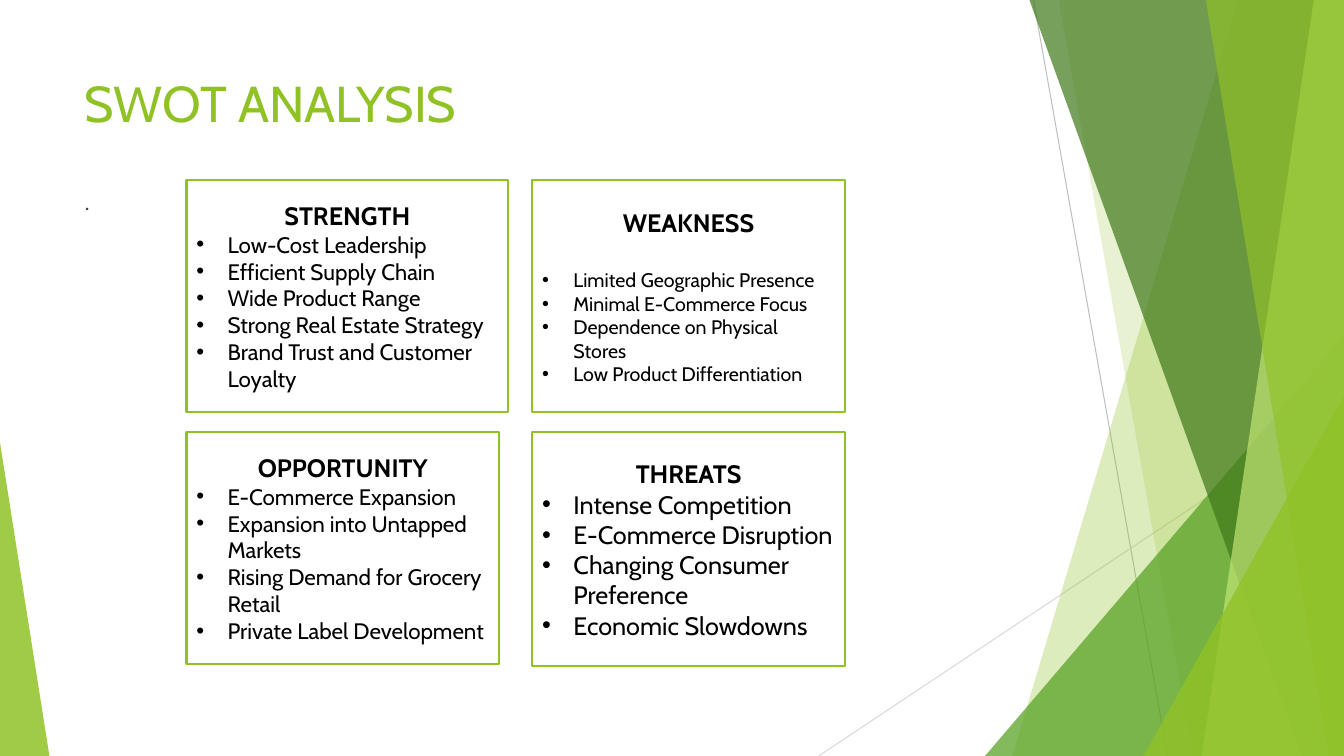
from lxml.etree import SubElement
from pptx import Presentation
from pptx.dml.color import RGBColor
from pptx.enum.shapes import MSO_CONNECTOR, MSO_SHAPE
from pptx.enum.text import MSO_ANCHOR, PP_ALIGN
from pptx.oxml.ns import qn
from pptx.util import Inches, Pt

COLORS = {
    "lime": "90C226", "green": "54A021", "forest": "3F7819", "pale": "C0E474",
    "white": "FFFFFF", "ink": "000000", "body": "404040",
    "grey": "BFBFBF", "light_grey": "D9D9D9",
}
WIDTH, HEIGHT = 13.33, 7.5

RAYS = [
    ("grey", (10.25, 0), (11.58, 7.5)),
    ("light_grey", (13.33, 4.03), (8.12, 7.5)),
]
FACETS = [
    ("band", 12.28, 10.04, "lime", 30),
    ("band", 10.5, 11.83, "lime", 20),
    ("wedge", (9.77, 3.33, 3.56, 4.17), 1, "green", 72),
    ("band", 10.21, 12.91, "forest", 70),
    ("band", 13.03, 11.92, "pale", 70),
    ("band", 11.96, 13.18, "lime", 65),
    ("wedge", (11.34, 3.93, 1.99, 3.57), 1, "lime", 80),
    ("wedge", (0, 4.39, 0.49, 3.11), 0, "lime", 85),
]
QUADRANTS = [
    ("STRENGTH", (0, 0, 3.19, 2.3), 16, 0,
     ["Low-Cost Leadership", "Efficient Supply Chain", "Wide Product Range",
      "Strong Real Estate Strategy", "Brand Trust and Customer Loyalty"]),
    ("WEAKNESS", (3.43, 0, 3.1, 2.3), 14, 22,
     ["Limited Geographic Presence", "Minimal E-Commerce Focus",
      "Dependence on Physical Stores", "Low Product Differentiation"]),
    ("THREATS", (3.43, 2.5, 3.1, 2.32), 18, 0,
     ["Intense Competition", "E-Commerce Disruption",
      "Changing Consumer Preference", "Economic Slowdowns"]),
    ("OPPORTUNITY", (0, 2.5, 3.1, 2.3), 16, 0,
     ["E-Commerce Expansion", "Expansion into Untapped Markets",
      "Rising Demand for Grocery Retail", "Private Label Development"]),
]


def rgb(color):
    return RGBColor.from_string(COLORS[color])


def write(paragraph, text, size, color, bold=False):
    run = paragraph.add_run()
    run.text = text
    run.font.color.rgb = rgb(color)
    for name, value in {"name": "Cabin", "size": Pt(size), "bold": bold}.items():
        setattr(run.font, name, value)


def add_bullet(paragraph):
    properties = paragraph._p.get_or_add_pPr()
    for name, value in {"marL": Inches(0.31), "indent": -Inches(0.31)}.items():
        properties.set(name, str(int(value)))
    SubElement(properties, qn("a:buFont"), typeface="Arial")
    SubElement(properties, qn("a:buChar"), char="•")


def paint(facet, color, opacity):
    facet.shadow.inherit = False
    facet.fill.solid()
    facet.fill.fore_color.rgb = rgb(color)
    facet.line.fill.background()
    tint = facet.fill._xPr.find(".//" + qn("a:srgbClr"))
    SubElement(tint, qn("a:alpha"), val=str(opacity * 1000))


def add_ray(slide, color, start, end):
    ray = slide.shapes.add_connector(
        MSO_CONNECTOR.STRAIGHT, *[Inches(value) for value in start + end])
    ray.line.color.rgb = rgb(color)
    ray.line.width = Pt(0.75)
    SubElement(ray._element.spPr, qn("a:effectLst"))


def add_band(slide, top_x, bottom_x, right, height):
    corners = [(right, 0), (right, height), (bottom_x, height)]
    outline = slide.shapes.build_freeform(Inches(top_x), 0)
    outline.add_line_segments([(Inches(x), Inches(y)) for x, y in corners])
    return outline.convert_to_shape()


def add_wedge(slide, box, apex):
    wedge = slide.shapes.add_shape(
        MSO_SHAPE.ISOSCELES_TRIANGLE, *[Inches(value) for value in box])
    wedge.adjustments[0] = apex
    return wedge


def add_backdrop(slide, width, height):
    for color, start, end in RAYS:
        add_ray(slide, color, start, end)
    for kind, first, second, color, opacity in FACETS:
        if kind == "band":
            facet = add_band(slide, first, second, width, height)
        else:
            facet = add_wedge(slide, first, second)
        paint(facet, color, opacity)


def add_text(slide, box, text, size, color, space_before=0):
    frame = slide.shapes.add_textbox(*[Inches(value) for value in box]).text_frame
    frame.word_wrap = True
    frame.paragraphs[0].space_before = Pt(space_before)
    write(frame.paragraphs[0], text, size, color)


def add_quadrant(slide, box, heading, size, gap, points):
    quadrant = slide.shapes.add_shape(
        MSO_SHAPE.RECTANGLE, *[Inches(value) for value in box])
    quadrant.shadow.inherit = False
    quadrant.fill.solid()
    quadrant.fill.fore_color.rgb = rgb("white")
    quadrant.line.color.rgb = rgb("lime")
    quadrant.line.width = Pt(1.5)
    frame = quadrant.text_frame
    for name, value in {"word_wrap": True, "vertical_anchor": MSO_ANCHOR.MIDDLE}.items():
        setattr(frame, name, value)
    title = frame.paragraphs[0]
    for name, value in {"alignment": PP_ALIGN.CENTER, "space_after": Pt(gap)}.items():
        setattr(title, name, value)
    write(title, heading, 18, "ink", bold=True)
    for point in points:
        item = frame.add_paragraph()
        item.alignment = PP_ALIGN.LEFT
        add_bullet(item)
        write(item, point, size, "ink")


def add_swot_grid(slide, left, top):
    for heading, (x, y, width, height), size, gap, points in QUADRANTS:
        add_quadrant(slide, (left + x, top + y, width, height),
                     heading, size, gap, points)


def main():
    deck = Presentation()
    deck.slide_width, deck.slide_height = Inches(WIDTH), Inches(HEIGHT)
    slide = deck.slides.add_slide(deck.slide_layouts[6])
    add_backdrop(slide, WIDTH, HEIGHT)
    add_text(slide, (0.74, 0.67, 9.4, 1.44), "SWOT ANALYSIS", 36, "lime")
    add_text(slide, (0.74, 1.79, 9.4, 4.81), ".", 18, "body", space_before=10)
    add_swot_grid(slide, 1.85, 1.79)
    deck.save("out.pptx")


if __name__ == "__main__":
    main()
